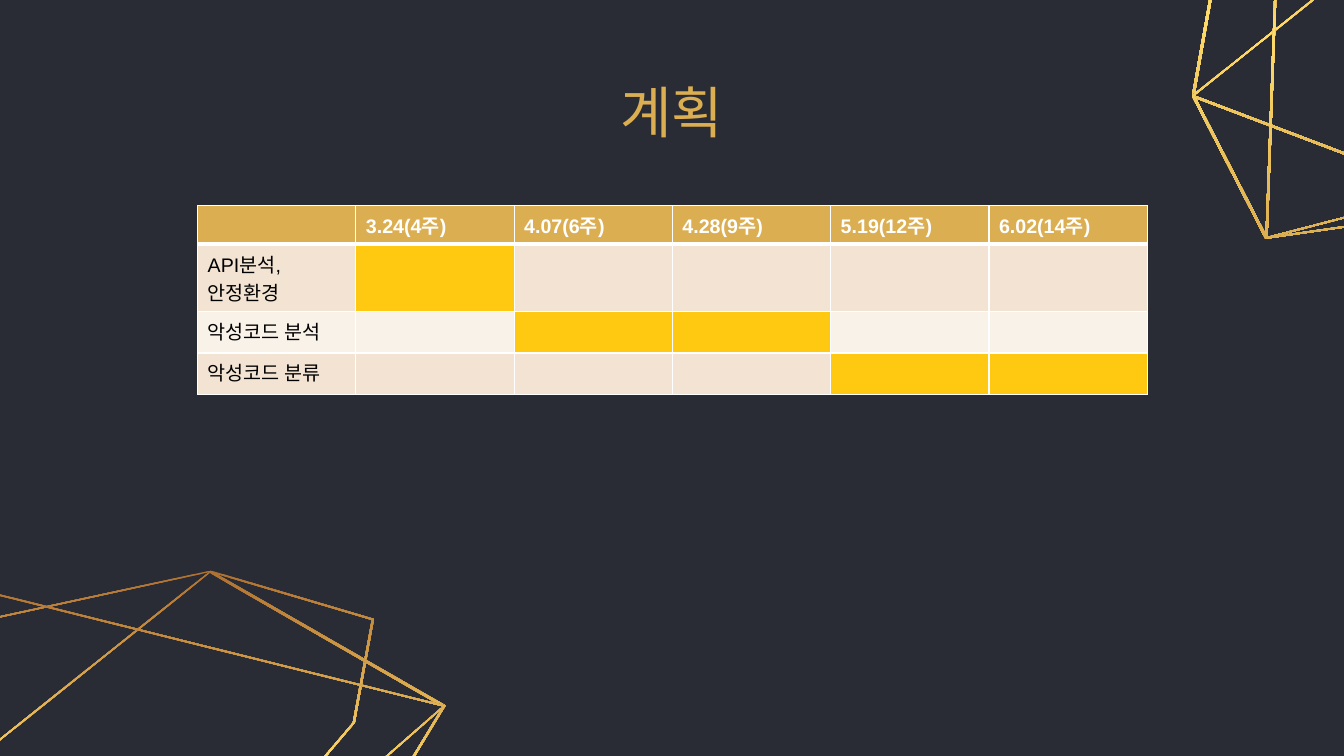
from copy import deepcopy

from lxml.etree import SubElement
from pptx import Presentation
from pptx.dml.color import RGBColor
from pptx.enum.text import MSO_ANCHOR, PP_ALIGN
from pptx.oxml import parse_xml
from pptx.oxml.ns import nsdecls, qn
from pptx.util import Inches, Pt

CENTER, MIDDLE = PP_ALIGN.CENTER, MSO_ANCHOR.MIDDLE

TITLE = "계획"
DATES = ["3.24(4주)", "4.07(6주)", "4.28(9주)", "5.19(12주)", "6.02(14주)"]
# task, columns in which it is carried out
TASKS = [
    ("API분석, 안정환경", {1}),
    ("악성코드 분석", {2, 3}),
    ("악성코드 분류", {4, 5}),
]

# corners of the three wire outlines, in inches from the top-left corner
WIRES = [
    [(-1.43, 8.48), (-1.05, 6.34), (2.09, 5.66), (3.71, 6.14), (3.52, 7.17), (1.47, 9.58)],
    [(-0.7, 9.89), (-1.43, 8.47), (2.09, 5.66), (4.42, 7.0), (1.47, 9.58)],
    [(-0.7, 9.89), (-0.55, 5.76), (4.42, 7.0), (3.3, 8.85)],
]
CLUSTER_OFFSETS = [(0, 0), (13.25, -7.52)]
WIRE_INNER_SCALE = 0.99

NAVY = RGBColor(0x29, 0x2C, 0x35)
GOLD = RGBColor(0xDC, 0xAE, 0x52)
BRONZE = RGBColor(0xAF, 0x71, 0x32)
LIGHT_GOLD = RGBColor(0xFF, 0xDD, 0x6B)
AMBER = RGBColor(0xFF, 0xC8, 0x11)
SAND = RGBColor(0xF2, 0xE3, 0xD3)
CREAM = RGBColor(0xF9, 0xF2, 0xE9)
WHITE = RGBColor(0xFF, 0xFF, 0xFF)
BLACK = RGBColor(0, 0, 0)

WIRE_STOPS = [(0, BRONZE), (0.5, LIGHT_GOLD), (1, GOLD)]
TITLE_FONT = {"name": "Arial", "size": Pt(40), "bold": False}
HEADER_FONT = {"name": "Arial", "size": Pt(14), "bold": True}
TASK_FONT = {"name": "Arial", "size": Pt(14), "bold": False}

TABLE_LEFT, TABLE_TOP = 1.96, 2.04
COLUMN_WIDTH, HEADER_HEIGHT, ROW_HEIGHT = 1.57, 0.32, 0.41
HEADER_RULE = Pt(3)


def write(frame, words, font_format, color):
    paragraph = frame.paragraphs[0]
    run = paragraph.add_run()
    run.text = words
    for key, value in font_format.items():
        setattr(run.font, key, value)
    run.font.color.rgb = color
    return paragraph


def paint_gradient(shape):
    """Fill the shape from top to bottom with the three wire colours."""
    shape.fill.gradient()
    shape.fill.gradient_angle = 270
    stop_list = shape._element.spPr.find(qn("a:gradFill")).find(qn("a:gsLst"))
    stop_list.append(deepcopy(stop_list[-1]))
    for stop, (position, color) in zip(shape.fill.gradient_stops, WIRE_STOPS):
        stop.position = position
        stop.color.rgb = color


def draw_wire(slide, corners):
    """Draw a thin ring: the outline, and the same outline shrunk to its middle."""
    middle = [sum(axis) / len(corners) for axis in zip(*corners)]
    inner = [
        tuple(m + (c - m) * WIRE_INNER_SCALE for c, m in zip(corner, middle))
        for corner in reversed(corners)
    ]
    outer, inner = (
        [(Inches(x), Inches(y)) for x, y in ring] for ring in (corners, inner)
    )
    builder = slide.shapes.build_freeform(*outer[0])
    builder.add_line_segments(outer[1:], close=True)
    builder.move_to(*inner[0])
    builder.add_line_segments(inner[1:], close=True)
    wire = builder.convert_to_shape()
    wire.shadow.inherit = False
    wire.line.fill.background()
    paint_gradient(wire)


def fill_cell(cell, color):
    cell.fill.solid()
    cell.fill.fore_color.rgb = color


def rule_below(cell):
    cell._tc.get_or_add_tcPr().insert(0, parse_xml(
        f'<a:lnB {nsdecls("a")} w="{HEADER_RULE}"><a:solidFill>'
        f'<a:srgbClr val="{WHITE}"/></a:solidFill></a:lnB>'
    ))


def draw_plan(slide):
    columns, rows = len(DATES) + 1, len(TASKS) + 1
    plan = slide.shapes.add_table(
        rows, columns, Inches(TABLE_LEFT), Inches(TABLE_TOP),
        Inches(COLUMN_WIDTH * columns),
        Inches(HEADER_HEIGHT + ROW_HEIGHT * len(TASKS)),
    ).table
    for column in plan.columns:
        column.width = Inches(COLUMN_WIDTH)
    for index, row in enumerate(plan.rows):
        row.height = Inches(ROW_HEIGHT if index else HEADER_HEIGHT)

    for column in range(columns):
        fill_cell(plan.cell(0, column), GOLD)
        rule_below(plan.cell(0, column))
    corner = plan.cell(0, 0).text_frame.paragraphs[0]
    SubElement(corner._p, qn("a:endParaRPr"), sz="1400")
    for column, date in enumerate(DATES, 1):
        write(plan.cell(0, column).text_frame, date, HEADER_FONT, WHITE)

    for row, (task, active) in enumerate(TASKS, 1):
        band = SAND if row % 2 else CREAM
        for column in range(columns):
            fill_cell(plan.cell(row, column), AMBER if column in active else band)
        write(plan.cell(row, 0).text_frame, task, TASK_FONT, BLACK)


def main():
    deck = Presentation()
    deck.slide_width, deck.slide_height = Inches(13.33), Inches(7.5)
    slide = deck.slides.add_slide(deck.slide_layouts[5])
    slide.background.fill.solid()
    slide.background.fill.fore_color.rgb = NAVY

    for dx, dy in CLUSTER_OFFSETS:
        for corners in WIRES:
            draw_wire(slide, [(x + dx, y + dy) for x, y in corners])

    title = slide.shapes.title
    title.left, title.top = Inches(2.91), Inches(0.79)
    title.width, title.height = Inches(7.51), Inches(0.63)
    title.text_frame.vertical_anchor = MIDDLE
    write(title.text_frame, TITLE, TITLE_FONT, GOLD).alignment = CENTER

    draw_plan(slide)
    deck.save("out.pptx")


if __name__ == "__main__":
    main()
